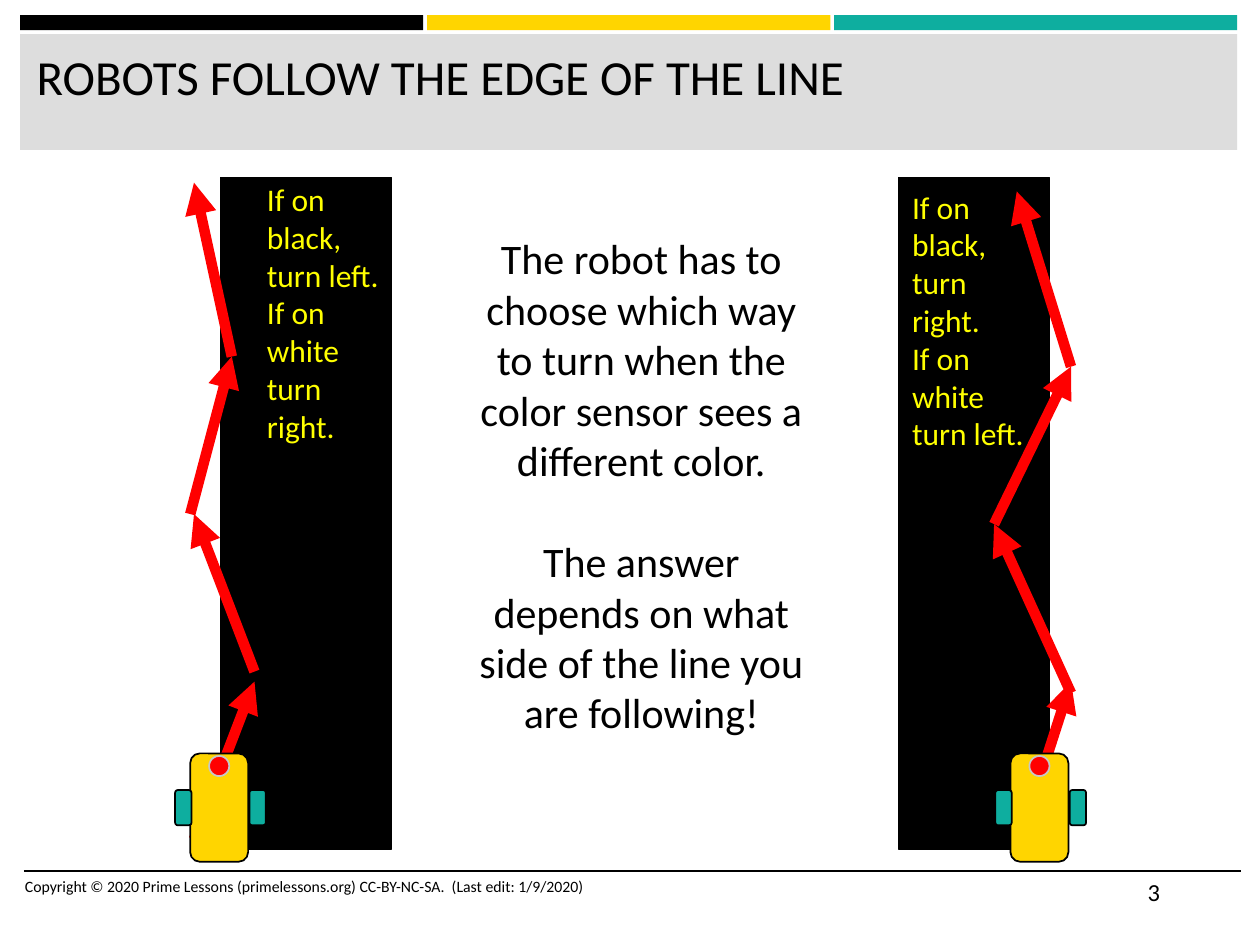
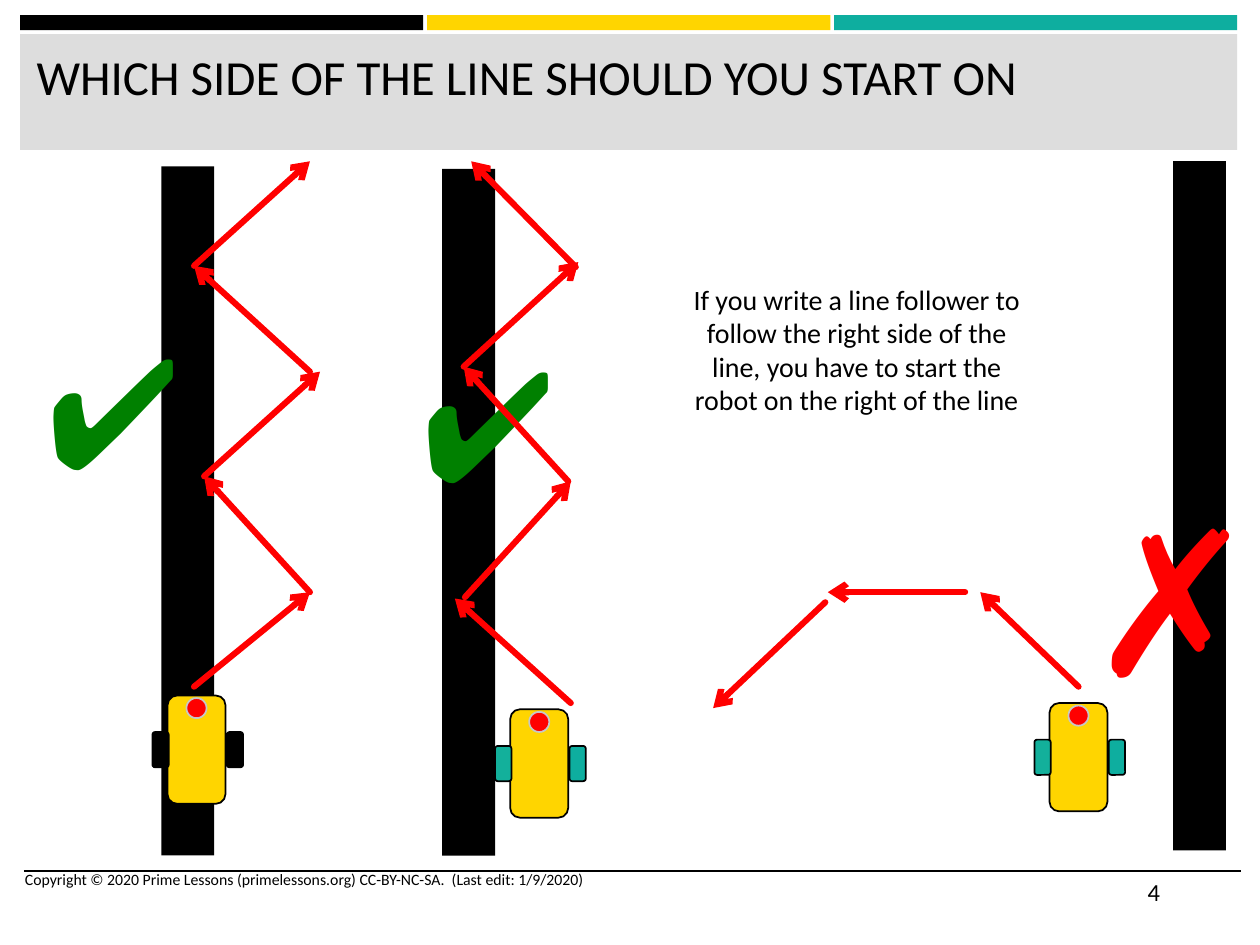
from dataclasses import dataclass

from lxml.etree import SubElement
from pptx import Presentation
from pptx.dml.color import RGBColor
from pptx.enum.shapes import MSO_CONNECTOR, MSO_SHAPE
from pptx.enum.text import MSO_ANCHOR, MSO_AUTO_SIZE, PP_ALIGN
from pptx.oxml.ns import qn
from pptx.util import Inches, Pt

WIDTH, HEIGHT = Inches(10), Inches(7.5)
COLS, ROWS = 100, 75
CREDIT = "Copyright © 2020 Prime Lessons (primelessons.org) CC-BY-NC-SA.  (Last edit: 1/9/2020)"


@dataclass(frozen=True)
class Theme:
    black: str = "000000"
    gold: str = "FFD500"
    teal: str = "0EAE9F"
    mint: str = "13B09B"
    gray: str = "DDDDDD"
    rim: str = "C7C7C7"
    red: str = "FF0000"
    green: str = "008000"
    yellow: str = "FFFF00"
    face: str = "Calibri"
    sign: str = "Arial"
    title: int = 28
    lead: int = 24
    note: int = 18
    body: int = 16
    page: int = 14
    foot: int = 9
    check: int = 88
    cross: int = 115


THEME = Theme()


@dataclass(frozen=True)
class Box:
    x: float
    y: float
    w: float = 0
    h: float = 0

    def inner(self, x, y, w=0, h=0):
        return Box(self.x + x, self.y + y, w, h)

    def frame(self):
        return (across(self.x), down(self.y), across(self.w), down(self.h))


@dataclass(frozen=True)
class Look:
    width: float
    head: str
    cap: str
    edge: float = 0


@dataclass(frozen=True)
class Note:
    lines: tuple
    size: int
    color: str
    face: str = THEME.face
    align: PP_ALIGN = PP_ALIGN.LEFT
    gap: int = 0


PAGE = Box(0, 0, COLS, ROWS)
BOLD = Look(6, "triangle", "flat", 0.75)
THIN = Look(3.5, "arrow", "rnd")


def across(cols):
    return round(WIDTH * cols / COLS)


def down(rows):
    return round(HEIGHT * rows / ROWS)


def paint(color):
    return RGBColor.from_string(color)


def block(slide, box, fill, edge=None, width=1.0, kind=MSO_SHAPE.RECTANGLE):
    shape = slide.shapes.add_shape(kind, *box.frame())
    shape.shadow.inherit = False
    shape.fill.solid()
    shape.fill.fore_color.rgb = paint(fill)
    if edge:
        shape.line.color.rgb = paint(edge)
        shape.line.width = Pt(width)
    else:
        shape.line.fill.background()


def stroke(slide, box, ends, color, width):
    start, stop = box.inner(*ends[:2]), box.inner(*ends[2:])
    line = slide.shapes.add_connector(
        MSO_CONNECTOR.STRAIGHT,
        across(start.x), down(start.y), across(stop.x), down(stop.y))
    line.line.color.rgb = paint(color)
    line.line.width = Pt(width)
    SubElement(line.element.spPr, qn("a:effectLst"))
    return line


def arrow(slide, box, ends, look):
    line = stroke(slide, box, ends, THEME.red, look.width)
    pen = line.element.spPr.find(qn("a:ln"))
    pen.set("cap", look.cap)
    SubElement(pen, qn("a:tailEnd"), type=look.head)


def write(frame, note):
    frame.word_wrap = True
    frame.auto_size = MSO_AUTO_SIZE.NONE
    frame.vertical_anchor = MSO_ANCHOR.TOP
    for spot, words in enumerate(note.lines):
        para = frame.add_paragraph() if spot else frame.paragraphs[0]
        para.alignment = note.align
        para.line_spacing = 1.0
        para.space_before = Pt(note.gap if spot else 0)
        run = para.add_run()
        run.text = words
        run.font.name = note.face
        run.font.size = Pt(note.size)
        run.font.color.rgb = paint(note.color)


def label(slide, box, note):
    write(slide.shapes.add_textbox(*box.frame()).text_frame, note)


def header(slide, box, words):
    for spot, color in enumerate((THEME.black, THEME.gold, THEME.teal)):
        block(slide, box.inner(32.3 * spot, 0, 32, 1.2), color)
    block(slide, box.inner(0, 1.5, 96.6, 9.2), THEME.gray)
    title = slide.shapes.title
    title.left, title.top, title.width, title.height = box.inner(0.3, 2, 95.7, 8.2).frame()
    write(title.text_frame, Note((words,), THEME.title, THEME.black))
    title.element.getparent().append(title.element)


def footer(slide, box, page, lift):
    stroke(slide, box, (0.9, 0, 97.5, 0), THEME.black, 1)
    label(slide, box.inner(0, -lift, 53.3, 4), Note((CREDIT,), THEME.foot, THEME.black))
    label(slide, box.inner(89.1, 0, 8.4, 4), Note((str(page),), THEME.page, THEME.black))


def robot(slide, box, wheels):
    oval, pill = MSO_SHAPE.OVAL, MSO_SHAPE.ROUNDED_RECTANGLE
    block(slide, box.inner(0, 0, 4.6, 8.6), THEME.gold, THEME.black, kind=pill)
    for x, color in zip((-1.2, 4.7), wheels):
        block(slide, box.inner(x, 2.9, 1.3, 2.8), color, THEME.black, kind=pill)
    block(slide, box.inner(1.5, 0.2, 1.6, 1.6), THEME.red, THEME.rim, kind=oval)


def lane(slide, box, look, note, place, trail, start, wheels):
    block(slide, box, THEME.black, look.edge and THEME.black, look.edge)
    label(slide, box.inner(*place), note)
    for ends in trail:
        arrow(slide, box, ends, look)
    robot(slide, box.inner(*start), wheels)


def base(deck, title, page, lift=0.0):
    slide = deck.slides.add_slide(deck.slide_layouts[5])
    header(slide, PAGE.inner(1.6, 1.2), title)
    footer(slide, PAGE.inner(1, 69.1), page, lift)
    return slide


def edges(deck):
    slide = base(deck, "ROBOTS FOLLOW THE EDGE OF THE LINE", 3)
    wheels = (THEME.teal, THEME.teal)
    left = Note(("If on black, turn left.", "If on white turn right."), THEME.note, THEME.yellow)
    right = Note(("If on black, turn right.", "If on white turn left."), THEME.note, THEME.yellow)
    lane(slide, Box(17.5, 14.1, 13.6, 53.3), BOLD, left, (2.7, -0.3, 11.5, 22.2),
         ((-2.1, 52.5, 2.7, 40), (2.7, 39.2, -2.1, 26.7),
          (-2.4, 26.7, 0.9, 14.2), (0.9, 14.2, -2.1, 0.4)),
         (-2.4, 45.7), wheels)
    lane(slide, Box(71.3, 14.1, 12, 53.3), BOLD, right, (0.1, 0.3, 11.5, 22.2),
         ((9.4, 53.4, 13.7, 40), (13.7, 40.9, 7.6, 27.5),
          (7.6, 27.5, 13.7, 15), (13.7, 15, 9.4, 1.1)),
         (8.9, 45.7), wheels)
    label(slide, PAGE.inner(36.5, 18, 28.8, 45.4), Note((
        "The robot has to choose which way to turn when the color sensor sees a different color.",
        "The answer depends on what side of the line you are following!",
    ), THEME.lead, THEME.black, align=PP_ALIGN.CENTER, gap=29))


def sides(deck):
    slide = base(deck, "WHICH SIDE OF THE LINE SHOULD YOU START ON", 4, 0.6)
    check = Note(("✔",), THEME.check, THEME.green, THEME.sign)
    cross = Note(("✗",), THEME.cross, THEME.red, THEME.sign)
    lane(slide, Box(12.8, 13.2, 4.2, 54.7), THIN, check, (-10.1, 11.3, 10.7, 15.8),
         ((2.6, 41.3, 11.8, 33.8), (11.8, 33.8, 3.4, 24.6), (3.4, 24.6, 12.6, 16.3),
          (11.8, 16.3, 2.6, 7.9), (2.6, 7.9, 11.8, -0.4)),
         (0.5, 42), (THEME.black, THEME.black))
    lane(slide, Box(35.1, 13.4, 4.2, 54.5), THIN, check, (-2.6, 12.1, 10.7, 15.8),
         ((10.2, 42.4, 1, 34.1), (1.8, 34, 10.2, 24.8), (10, 24.8, 1.7, 15.7),
          (1.7, 15.7, 10.8, 7.4), (10.6, 7.8, 2.3, -0.6)),
         (5.4, 42.9), (THEME.mint, THEME.teal))
    lane(slide, Box(93.1, 12.8, 4.2, 54.7), THIN, cross, (-7.7, 24.4, 10.7, 20.4),
         ((-7.5, 41.7, -15.3, 34.2), (-16.5, 34.2, -27.4, 34.2), (-27.6, 35, -36.5, 43.4)),
         (-9.8, 43), (THEME.mint, THEME.teal))
    label(slide, PAGE.inner(53.6, 21.9, 28.8, 11.8), Note((
        "If you write a line follower to follow the right side of the line, "
        "you have to start the robot on the right of the line",
    ), THEME.body, THEME.black, align=PP_ALIGN.CENTER))


def main():
    deck = Presentation()
    deck.slide_width, deck.slide_height = WIDTH, HEIGHT
    edges(deck)
    sides(deck)
    deck.save("out.pptx")


if __name__ == "__main__":
    main()
